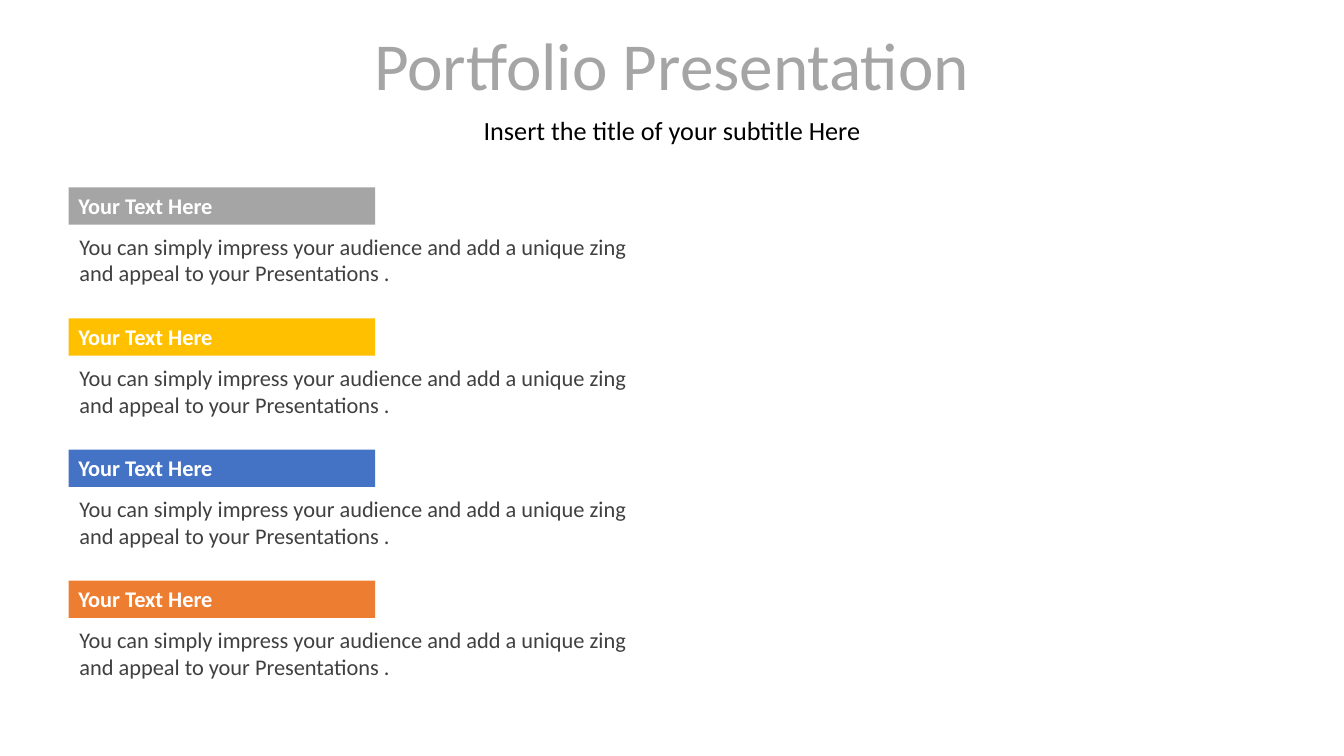
from pptx import Presentation
from pptx.dml.color import RGBColor
from pptx.enum.shapes import MSO_SHAPE
from pptx.enum.text import MSO_ANCHOR as Anchor, MSO_AUTO_SIZE as AutoSize, PP_ALIGN as Align
from pptx.util import Emu, Pt

COLORS = {
    "gray": "A5A5A5",
    "gold": "FFC000",
    "blue": "4472C4",
    "orange": "ED7D31",
    "body": "404040",
    "black": "000000",
    "white": "FFFFFF",
}
EMU_PER_PX = 9144
SLIDE_WIDTH, SLIDE_HEIGHT = 1333, 750
FIRST_TOP, SECTION_PITCH = 186, 130
HEADING = "Your Text Here"
DESCRIPTION = (
    "You can simply impress your audience and add a unique zing "
    "and appeal to your Presentations ."
)


def px(*lengths):
    return [Emu(length * EMU_PER_PX) for length in lengths]


def write_text(shape, text, size=16, color="body", bold=False, align=Align.LEFT,
               anchor=Anchor.TOP, line_spacing=None, auto_size=AutoSize.NONE):
    frame = shape.text_frame
    frame.word_wrap = True
    frame.auto_size = auto_size
    frame.vertical_anchor = anchor
    paragraph = frame.paragraphs[0]
    paragraph.alignment = align
    paragraph.line_spacing = line_spacing
    run = paragraph.add_run()
    run.text = text
    run.font.name = "Calibri"
    run.font.size = Pt(size)
    run.font.bold = bold
    run.font.color.rgb = RGBColor.from_string(COLORS[color])


class PortfolioSlide:
    """Draws the titles and coloured sections of one slide."""

    def __init__(self, presentation):
        self.slide = presentation.slides.add_slide(presentation.slide_layouts[6])

    def title(self, text, top, height, size, color):
        box = self.slide.shapes.add_textbox(*px(0, top, SLIDE_WIDTH, height))
        write_text(box, text, size=size, color=color, align=Align.CENTER,
                   anchor=Anchor.MIDDLE, line_spacing=0.9)

    def section(self, top, color):
        group = self.slide.shapes.add_group_shape()
        description = group.shapes.add_textbox(*px(69, top + 40, 597, 64))
        write_text(description, DESCRIPTION, auto_size=AutoSize.SHAPE_TO_FIT_TEXT)
        banner = group.shapes.add_shape(MSO_SHAPE.RECTANGLE, *px(68, top, 304, 37))
        banner.shadow.inherit = False
        banner.fill.solid()
        banner.fill.fore_color.rgb = RGBColor.from_string(COLORS[color])
        banner.line.fill.background()
        write_text(banner, HEADING, color="white", bold=True,
                   auto_size=AutoSize.SHAPE_TO_FIT_TEXT)


def main():
    presentation = Presentation()
    presentation.slide_width, presentation.slide_height = px(SLIDE_WIDTH, SLIDE_HEIGHT)
    portfolio = PortfolioSlide(presentation)
    portfolio.title("Portfolio Presentation", 26, 84, 48, "gray")
    portfolio.title("Insert the title of your subtitle Here", 110, 42, 18.7, "black")
    for index, color in enumerate(("gray", "gold", "blue", "orange")):
        portfolio.section(FIRST_TOP + index * SECTION_PITCH, color)
    presentation.save("out.pptx")


if __name__ == "__main__":
    main()
